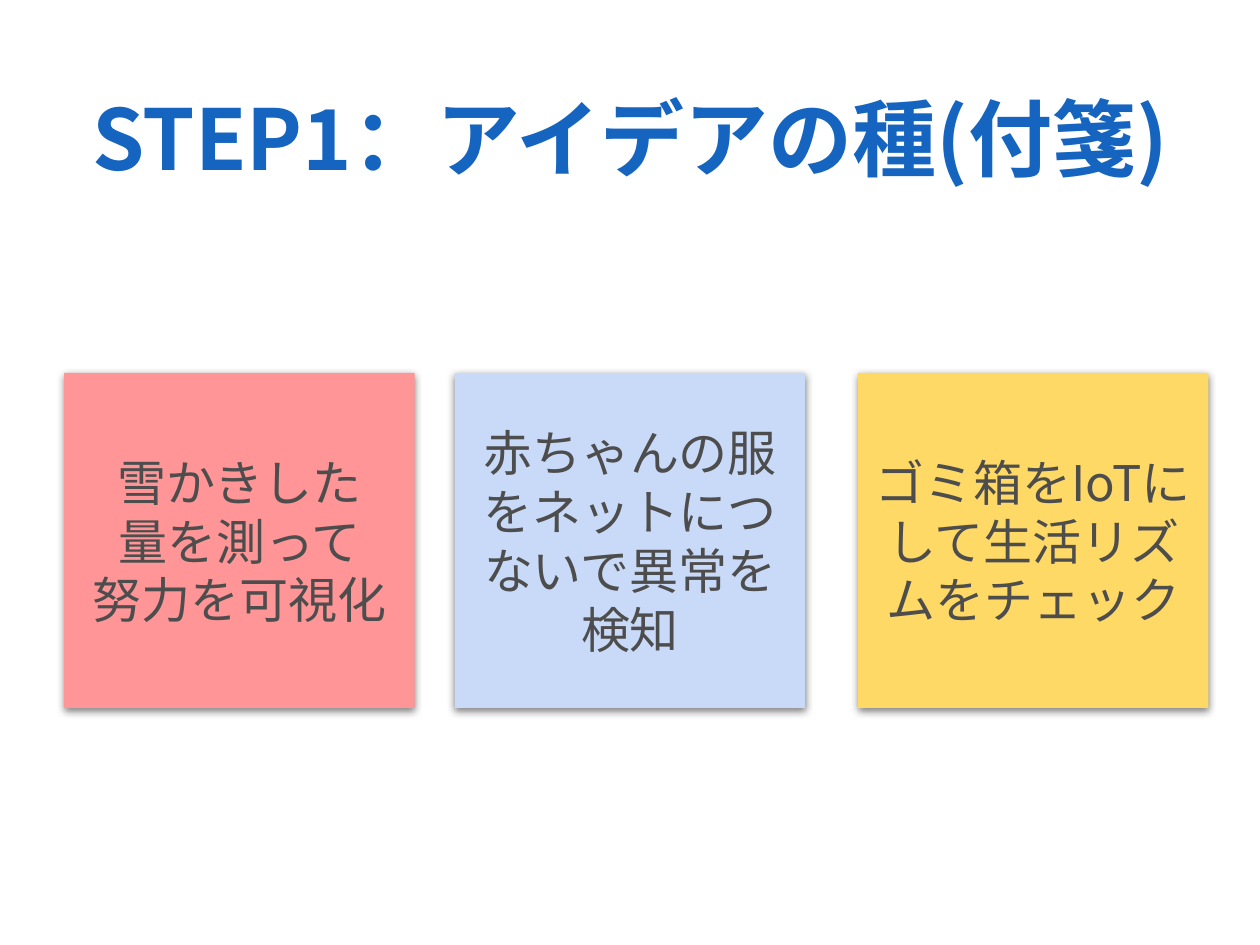
from lxml import etree
from pptx import Presentation
from pptx.dml.color import RGBColor
from pptx.enum.shapes import MSO_SHAPE
from pptx.enum.text import MSO_ANCHOR, MSO_AUTO_SIZE, PP_ALIGN
from pptx.oxml.ns import qn
from pptx.util import Pt

RECTANGLE = MSO_SHAPE.RECTANGLE
MIDDLE = MSO_ANCHOR.MIDDLE
NO_AUTOFIT = MSO_AUTO_SIZE.NONE
CENTER = PP_ALIGN.CENTER

FONT = "Noto Sans CJK JP"
TITLE_BLUE = "1565C0"
NOTE_TEXT = "4D4D4D"
NOTE_TOP, NOTE_WIDTH, NOTE_HEIGHT = 213.1, 200.2, 191.5
STICKY_NOTES = [
    (36.7, "FF9596", 7.2, ["雪かきした", "量を測って", "努力を可視化"]),
    (259.9, "C9DAF8", 4.3, ["赤ちゃんの服をネットにつないで異常を検知"]),
    (490.3, "FFD966", 7.2, ["ゴミ箱をIoTにして生活リズムをチェック"]),
]


def color(value):
    return RGBColor.from_string(value)


def write_text(shape, lines, size, text_color, bold=False):
    frame = shape.text_frame
    frame.text = "\n".join(lines)
    frame.word_wrap = True
    frame.auto_size = NO_AUTOFIT
    frame.vertical_anchor = MIDDLE
    for paragraph in frame.paragraphs:
        paragraph.alignment = CENTER
        font = paragraph.font
        font.name = FONT
        font.size = Pt(size)
        font.bold = bold
        font.color.rgb = color(text_color)
    for latin in shape.element.iter(qn("a:latin")):
        east_asian = etree.Element(qn("a:ea"), typeface=FONT)
        latin.addnext(east_asian)


def add_shadow(shape):
    shape.shadow.inherit = False
    effects = shape.element.spPr.find(qn("a:effectLst"))
    shadow = etree.SubElement(
        effects, qn("a:outerShdw"), blurRad=str(Pt(4.5)), dist=str(Pt(1.5)),
        dir="5400000", algn="bl", rotWithShape="0")
    black = etree.SubElement(shadow, qn("a:srgbClr"), val="000000")
    etree.SubElement(black, qn("a:alpha"), val="50000")


def set_title(slide, text):
    title = slide.shapes.title
    title.left, title.top = Pt(0), Pt(26)
    title.width, title.height = Pt(720), Pt(105)
    write_text(title, [text], 48, TITLE_BLUE, bold=True)


def add_sticky_note(slide, left, fill, side_inset, lines):
    note = slide.shapes.add_shape(
        RECTANGLE, Pt(left), Pt(NOTE_TOP), Pt(NOTE_WIDTH), Pt(NOTE_HEIGHT))
    note.fill.solid()
    note.fill.fore_color.rgb = color(fill)
    note.line.fill.background()
    add_shadow(note)
    frame = note.text_frame
    frame.margin_left = frame.margin_right = Pt(side_inset)
    frame.margin_top = frame.margin_bottom = Pt(7.2)
    write_text(note, lines, 28, NOTE_TEXT)


def main():
    presentation = Presentation()
    presentation.slide_width, presentation.slide_height = Pt(720), Pt(540)
    slide = presentation.slides.add_slide(presentation.slide_layouts[0])
    subtitle = slide.placeholders[1].element
    subtitle.getparent().remove(subtitle)
    set_title(slide, "STEP1：アイデアの種(付箋)")
    for left, fill, side_inset, lines in STICKY_NOTES:
        add_sticky_note(slide, left, fill, side_inset, lines)
    presentation.save("out.pptx")


if __name__ == "__main__":
    main()
